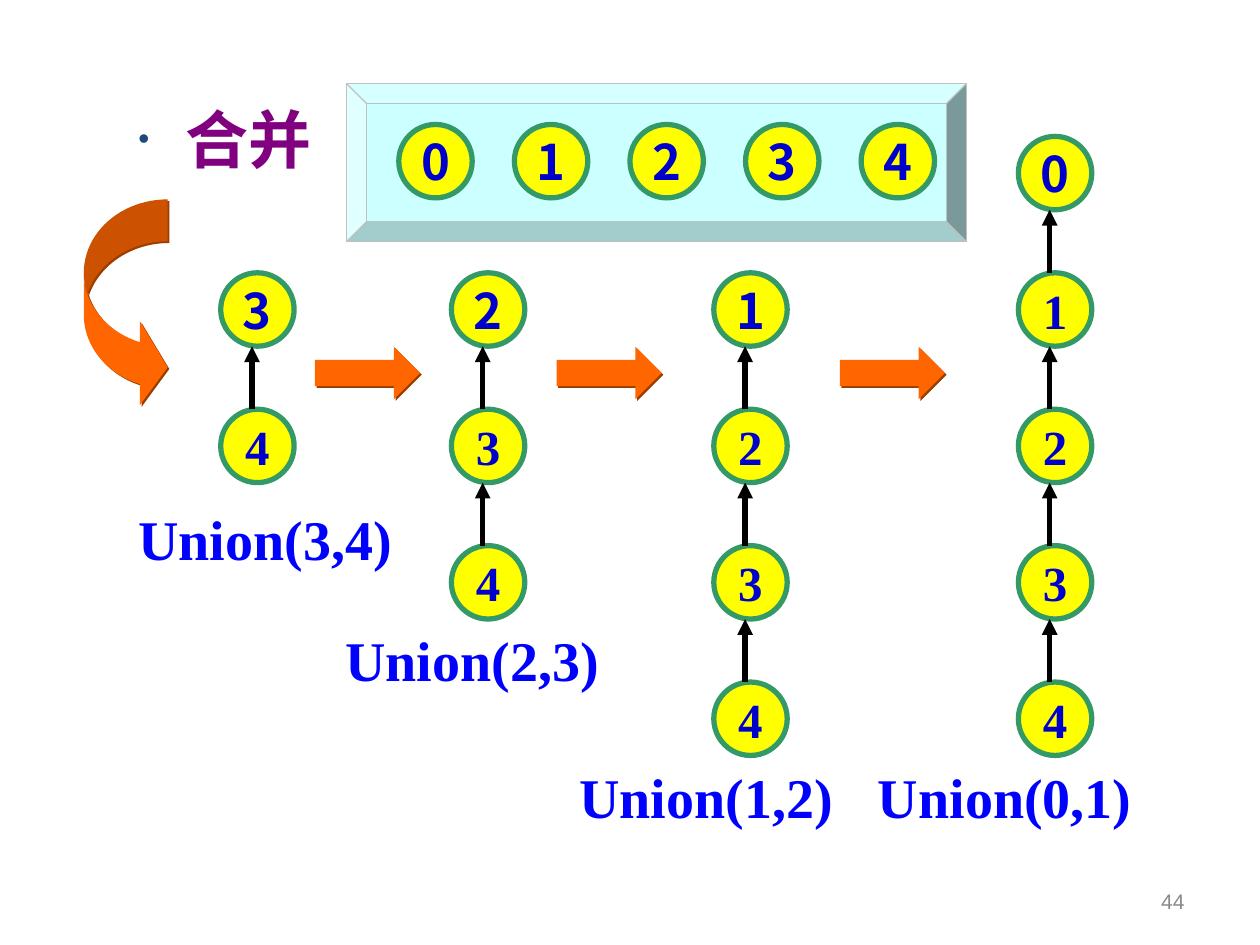
from dataclasses import dataclass
from lxml.etree import SubElement as Sub
from pptx import Presentation
from pptx.dml.color import RGBColor as Rgb
from pptx.enum.shapes import MSO_CONNECTOR as Conn, MSO_SHAPE as Kind
from pptx.enum.text import MSO_ANCHOR as Anchor, MSO_AUTO_SIZE as Auto, PP_ALIGN as Align
from pptx.oxml.ns import qn
from pptx.util import Cm, Pt


@dataclass(frozen=True)
class Theme:
    panel: str = "CCFFFF"
    edge: str = "C0C0C0"
    node: str = "FFFF00"
    ring: str = "339966"
    digit: str = "0000CC"
    label: str = "0000FF"
    title: str = "800080"
    dot: str = "1F497D"
    arrow: str = "FF6600"
    shade: str = "993D00"
    link: str = "000000"
    page: str = "898989"
    serif: str = "Times New Roman"
    hei: str = "Noto Sans CJK SC"
    sans: str = "Calibri"
    plain: str = "Arial"
    big: int = 36
    mid: int = 32
    num: int = 28
    small: int = 12


T = Theme()

# Content, lengths in cm
TITLE, PAGE = "合并", "44"
SETS = ["0", "1", "2", "3", "4"]
# left edge of the chain, first row, nodes from the root, label, label place
CHAINS = [
    (4.45, 1, "34", "Union(3,4)", (2.54, 10.04)),
    (9.1, 1, "234", "Union(2,3)", (6.71, 12.49)),
    (14.39, 1, "1234", "Union(1,2)", (11.43, 15.24)),
    (20.53, 0, "01234", "Union(0,1)", (17.45, 15.24)),
]
STEPS = [6.35, 11.22, 16.93]

SIZE, ROW, TOP = 1.48, 2.75, 2.75
SET_X, SET_Y, SET_GAP = 8.04, 2.51, 2.33
LINK_X = 0.63

deck = Presentation()
deck.slide_width, deck.slide_height = Cm(25.4), Cm(19.05)
page = deck.slides.add_slide(deck.slide_layouts[6])


def write(par, text, font, size, color, bold=True):
    run = par.add_run()
    run.text = text
    run.font.name, run.font.size, run.font.bold = font, Pt(size), bold
    run.font.color.rgb = Rgb.from_string(color)
    return run


def draw(kind, box, fill, line=None, width=0, adj=()):
    shape = page.shapes.add_shape(kind, *map(Cm, box))
    shape.shadow.inherit = False
    shape.fill.solid()
    shape.fill.fore_color.rgb = Rgb.from_string(fill)
    if line:
        shape.line.color.rgb = Rgb.from_string(line)
        shape.line.width = Pt(width)
    else:
        shape.line.fill.background()
    for i, part in enumerate(adj):
        shape.adjustments[i] = part
    return shape


def text_box(*box, wrap=True):
    frame = page.shapes.add_textbox(*map(Cm, box)).text_frame
    frame.word_wrap = wrap
    return frame


def node(x, y, text, font):
    frame = draw(Kind.OVAL, (x, y, SIZE, SIZE), T.node, T.ring, 3).text_frame
    frame.word_wrap = False
    frame.vertical_anchor = Anchor.MIDDLE
    par = frame.paragraphs[0]
    par.alignment = Align.CENTER
    write(par, text, font, T.num, T.digit)


def link(x, low, high):
    line = page.shapes.add_connector(Conn.STRAIGHT, Cm(x), Cm(low), Cm(x), Cm(high))
    line.line.color.rgb = Rgb.from_string(T.link)
    line.line.width = Pt(3)
    Sub(line.line._get_or_add_ln(), qn("a:tailEnd"), type="triangle")
    Sub(line._element.spPr, qn("a:effectLst"))


def arrow(kind, box, adj):
    shape = draw(kind, box, T.arrow, adj=adj)
    effect = shape._element.spPr.find(qn("a:effectLst"))
    shade = Sub(effect, qn("a:outerShdw"), dist=str(Pt(1.4)), dir="2700000",
                algn="ctr", rotWithShape="0")
    Sub(shade, qn("a:srgbClr"), val=T.shade)


# Title with its bullet
par = text_box(2.54, 1.9, 20.52, 11.43).paragraphs[0]
props = par._p.get_or_add_pPr()
props.set("marL", str(Cm(0.95)))
props.set("indent", str(Cm(-0.95)))
Sub(Sub(props, qn("a:buClr")), qn("a:srgbClr"), val=T.dot)
Sub(props, qn("a:buSzPct"), val="50000")
Sub(props, qn("a:buFont"), typeface=T.plain)
Sub(props, qn("a:buChar"), char="•")
run = write(par, TITLE, T.sans, T.big, T.title)
Sub(run._r.get_or_add_rPr(), qn("a:ea"), typeface=T.hei)

# Page number
frame = text_box(18.2, 17.66, 5.93, 1.01)
frame.vertical_anchor = Anchor.MIDDLE
par = frame.paragraphs[0]
par.alignment = Align.RIGHT
write(par, PAGE, T.plain, T.small, T.page, False)

# Panel of single sets
draw(Kind.BEVEL, (6.99, 1.69, 12.49, 3.18), T.panel, T.edge, 0.75, [0.125])
for i, name in enumerate(SETS):
    node(SET_X + i * SET_GAP, SET_Y, name, T.hei)

# Chains, root on top
for x, first, names, label, (left, top) in CHAINS:
    for i, name in enumerate(names):
        y = TOP + (first + i) * ROW
        node(x, y, name, T.serif if i else T.hei)
        if i:
            link(x + LINK_X, y, y - ROW + SIZE)
    frame = text_box(left, top, 5.7, 1.62, wrap=False)
    frame.auto_size = Auto.NONE
    write(frame.paragraphs[0], label, T.serif, T.mid, T.label)

# Step arrows
for x in STEPS:
    arrow(Kind.RIGHT_ARROW, (x, 6.99, 2.12, 1.06), [0.5, 0.5])
arrow(Kind.CURVED_RIGHT_ARROW, (1.69, 4.02, 1.69, 4.23), [0.5, 1, 0.33])

deck.save("out.pptx")
